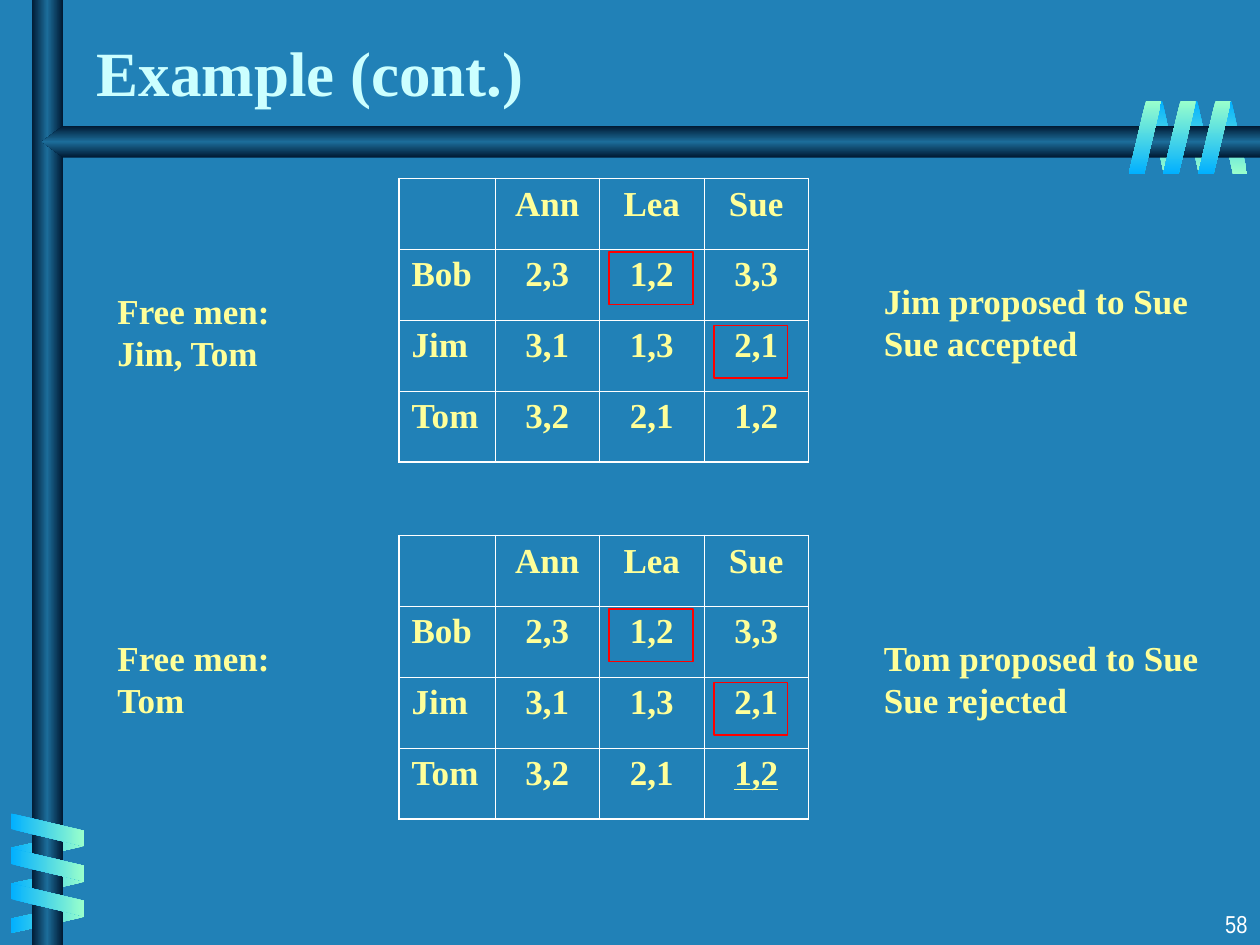
from lxml.etree import SubElement
from pptx import Presentation
from pptx.dml.color import RGBColor
from pptx.enum.dml import MSO_LINE
from pptx.enum.shapes import MSO_SHAPE as SHAPE
from pptx.enum.text import MSO_ANCHOR as ANCHOR, MSO_AUTO_SIZE as AUTO_SIZE, PP_ALIGN as ALIGN
from pptx.oxml.ns import qn
from pptx.util import Pt

BLUE = RGBColor(0x21, 0x81, 0xB7)
NAVY = RGBColor(0x00, 0x19, 0x32)
STEEL = RGBColor(0x1C, 0x6D, 0x9A)
SKY = RGBColor(0x01, 0xB0, 0xFF)
MINT = RGBColor(0x99, 0xFF, 0xCC)
PALE = RGBColor(0xCC, 0xFF, 0xFF)
YELLOW = RGBColor(0xFF, 0xFF, 0x99)
WHITE = RGBColor(0xFF, 0xFF, 0xFF)
RED = RGBColor(0xFF, 0x00, 0x00)

PREFERENCES = [
    ["", "Ann", "Lea", "Sue"],
    ["Bob", "2,3", "1,2", "3,3"],
    ["Jim", "3,1", "1,3", "2,1"],
    ["Tom", "3,2", "2,1", "1,2"],
]
COL_WIDTHS = [54.9, 59.7, 59.7, 59.7]
ROW_HEIGHT = 40.5
ACROSS, DOWN = 0, 270  # gradient angles, counter-clockwise


class SlideBuilder:
    font = "Times New Roman"
    size = 20
    color = YELLOW

    def __init__(self, prs):
        self.slide = prs.slides.add_slide(prs.slide_layouts[5])
        fill = self.slide.background.fill
        fill.solid()
        fill.fore_color.rgb = BLUE

    def style(self, p, size=None, color=None, font=None, bold=True):
        p.font.name = font or self.font
        p.font.size = Pt(size or self.size)
        p.font.color.rgb = color or self.color
        p.font.bold = bold

    def title(self, text, x, y, w, h):
        sp = self.slide.shapes.title
        sp.left, sp.top, sp.width, sp.height = Pt(x), Pt(y), Pt(w), Pt(h)
        tf = sp.text_frame
        tf.text = text
        tf.auto_size = AUTO_SIZE.NONE
        tf.vertical_anchor = ANCHOR.BOTTOM
        p = tf.paragraphs[0]
        p.alignment = ALIGN.LEFT
        self.style(p, 36, PALE)

    def text(self, text, x, y, w, h, align=ALIGN.LEFT, **style):
        tf = self.slide.shapes.add_textbox(Pt(x), Pt(y), Pt(w), Pt(h)).text_frame
        tf.word_wrap = True
        p = tf.paragraphs[0]
        p.text = text
        p.alignment = align
        self.style(p, **style)

    def gradient(self, sp, start, end, angle, middle=None):
        """Fill without an outline; the gradient keeps to the page when the shape turns."""
        sp.shadow.inherit = False
        sp.line.fill.background()
        sp.fill.gradient()
        sp.fill.gradient_angle = angle
        stops = sp.fill.gradient_stops
        for stop, color, position in zip(stops, (start, end), (0, 1)):
            stop.color.rgb = color
            stop.position = position
        grad = sp.element.spPr.find(qn("a:gradFill"))
        grad.set("rotWithShape", "0")
        if middle is not None:
            gs_list = grad.find(qn("a:gsLst"))
            gs = SubElement(gs_list, qn("a:gs"), pos="50000")
            SubElement(gs, qn("a:srgbClr"), val=str(middle))
            gs_list.insert(1, gs)

    def coil(self, x, y, w, h, start, end, angle, rotation=0, flip=False):
        sp = self.slide.shapes.add_shape(SHAPE.PARALLELOGRAM, Pt(x), Pt(y), Pt(w), Pt(h))
        sp.adjustments[0] = 0.53
        sp.rotation = rotation
        if flip:
            sp.element.spPr.find(qn("a:xfrm")).set("flipH", "1")
        self.gradient(sp, start, end, angle)

    def post(self, x, y, w, h):
        sp = self.slide.shapes.add_shape(SHAPE.RECTANGLE, Pt(x), Pt(y), Pt(w), Pt(h))
        self.gradient(sp, NAVY, NAVY, ACROSS, STEEL)

    def pointed_beam(self, x, y, w, h, tip):
        right, bottom = x + w, y + h
        points = [(x + tip, y), (x, y + h / 2), (x + tip, bottom), (right, bottom)]
        builder = self.slide.shapes.build_freeform(Pt(right), Pt(y))
        builder.add_line_segments([(Pt(px), Pt(py)) for px, py in points], close=True)
        self.gradient(builder.convert_to_shape(), NAVY, NAVY, DOWN, STEEL)

    def frame(self, x, y, w, h):
        sp = self.slide.shapes.add_shape(SHAPE.RECTANGLE, Pt(x), Pt(y), Pt(w), Pt(h))
        sp.shadow.inherit = False
        sp.fill.background()
        sp.line.color.rgb = RED
        sp.line.width = Pt(1)
        sp.line.dash_style = MSO_LINE.SOLID

    def borders(self, cell, outer):
        """Draw the four cell edges, heavier on the sides named in outer."""
        tc_pr = cell._tc.get_or_add_tcPr()
        for side in "LRTB":
            width = Pt(1.08 if side in outer else 0.45)
            ln = SubElement(tc_pr, qn(f"a:ln{side}"), w=str(width))
            fill = SubElement(ln, qn("a:solidFill"))
            SubElement(fill, qn("a:srgbClr"), val=str(WHITE))

    def table(self, rows, x, y, underlined=()):
        n_rows, n_cols = len(rows), len(rows[0])
        table = self.slide.shapes.add_table(
            n_rows, n_cols, Pt(x), Pt(y), Pt(sum(COL_WIDTHS)), Pt(ROW_HEIGHT * n_rows)).table
        table.first_row = table.horz_banding = False
        for column, width in zip(table.columns, COL_WIDTHS):
            column.width = Pt(width)
        for i, row in enumerate(rows):
            table.rows[i].height = Pt(ROW_HEIGHT)
            for j, value in enumerate(row):
                cell = table.cell(i, j)
                edges = {"L": j == 0, "R": j == n_cols - 1, "T": i == 0, "B": i == n_rows - 1}
                self.borders(cell, [side for side, on in edges.items() if on])
                cell.fill.background()
                p = cell.text_frame.paragraphs[0]
                p.text = value
                p.alignment = ALIGN.CENTER if j else ALIGN.LEFT
                self.style(p)
                if (i, j) in underlined:
                    p.font.underline = True


def draw_backdrop(s):
    for x in (695.5, 676, 656):
        s.coil(x, 57.6, 17.3, 41.8, SKY, MINT, DOWN, 180, flip=True)
    for y in (463, 483.5, 503.5):
        s.coil(18.7, y, 17.3, 41.8, MINT, SKY, ACROSS, 90, flip=True)
    s.post(18, 0, 18, 540)
    s.pointed_beam(24, 72, 696, 18, 12)
    for y in (453.3, 473.3, 493.3):
        s.coil(17.8, y, 18.7, 41.8, SKY, MINT, ACROSS, 270)
    for x in (684.7, 664.7, 645):
        s.coil(x, 57.6, 18.7, 41.8, MINT, SKY, DOWN)


def draw_step(s, top, free_men, free_top, outcome, outcome_top, underlined=()):
    s.text(f"Free men:\v{free_men}", 60, free_top, 162, 55.4)
    s.table(PREFERENCES, 228, top, underlined)
    s.text(outcome, 498, outcome_top, 204, 55.4)
    s.frame(348, top + 42, 48, 30)
    s.frame(408, top + 84, 42, 30)


def main():
    prs = Presentation()
    prs.slide_width, prs.slide_height = Pt(720), Pt(540)
    s = SlideBuilder(prs)
    draw_backdrop(s)
    s.text("58", 570, 516, 150, 24, ALIGN.RIGHT,
           size=14, color=WHITE, font="Arial Narrow", bold=False)
    s.title("Example (cont.)", 48, 12, 597.6, 54)
    draw_step(s, 102, "Jim, Tom", 162, "Jim proposed to Sue\vSue accepted", 156)
    draw_step(s, 306, "Tom", 360, "Tom proposed to Sue\vSue rejected", 360, {(3, 3)})
    prs.save("out.pptx")


if __name__ == "__main__":
    main()
